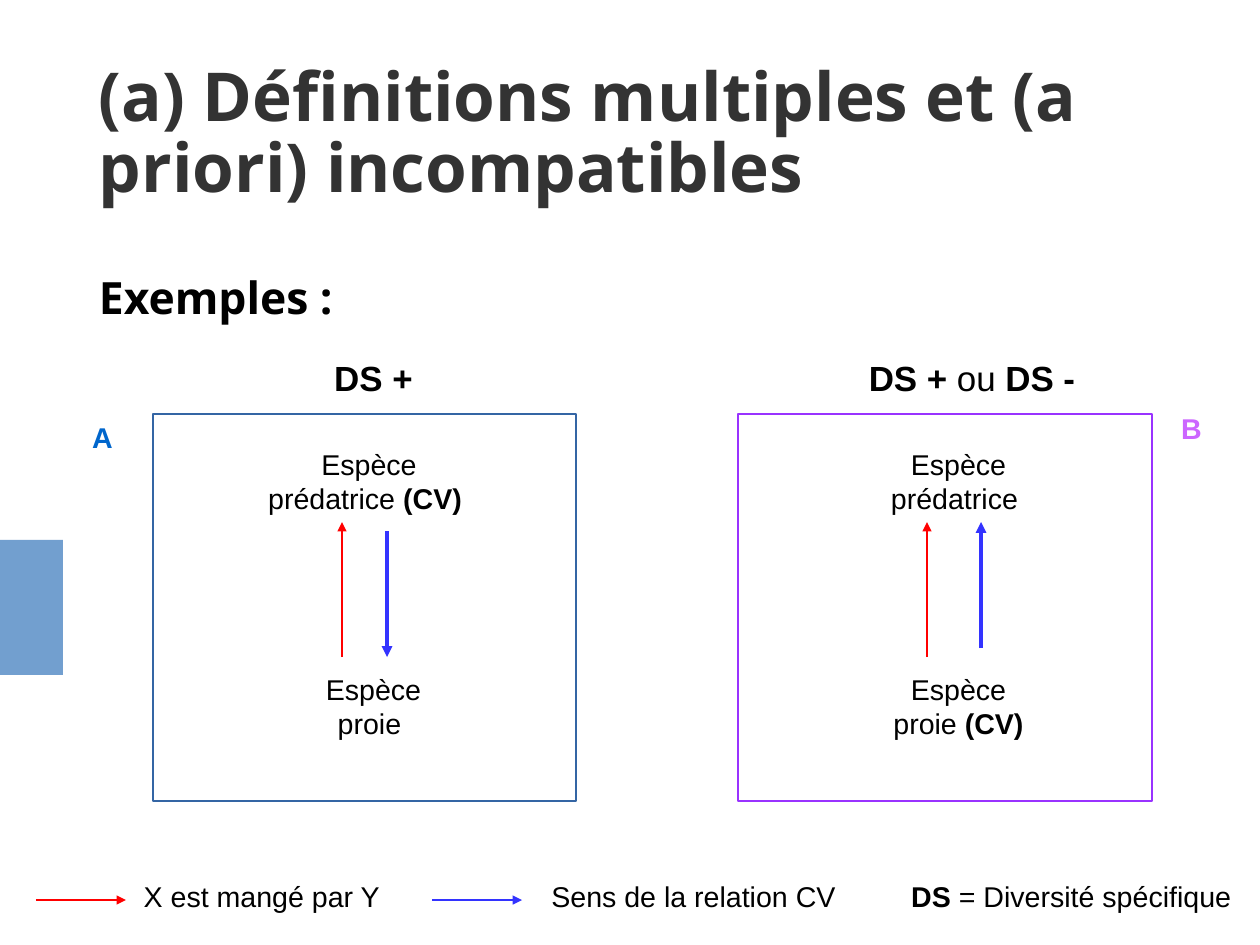
from lxml import etree
from pptx import Presentation
from pptx.dml.color import RGBColor
from pptx.enum.shapes import MSO_CONNECTOR, MSO_SHAPE
from pptx.enum.text import MSO_ANCHOR, MSO_AUTO_SIZE, PP_ALIGN
from pptx.oxml.ns import qn
from pptx.util import Cm, Pt

LEFT, CENTER = PP_ALIGN.LEFT, PP_ALIGN.CENTER
MIDDLE, NO_AUTOFIT = MSO_ANCHOR.MIDDLE, MSO_AUTO_SIZE.NONE
RECTANGLE, STRAIGHT = MSO_SHAPE.RECTANGLE, MSO_CONNECTOR.STRAIGHT

# The slide is a grid of 28 columns by 21 rows, one centimetre each
COLUMNS, ROWS = 28, 21
BODY, HEADING = "Arial", "Open Sans"
BLACK, RED, BLUE = "000000", "FF0000", "3333FF"
TITLE_AREA = (2.2, 0.97, 23.8, 4.09)
LEGEND_ROW, LEGEND_TEXT_ROW = 20, 19.4
PREDATOR_ROW, PREY_ROW = 9.8, 14.8


def grid(*cells):
    return [Cm(cell) for cell in cells]


def color(hex_code):
    return RGBColor.from_string(hex_code)


def style(paragraph, font_name, size, hex_code, bold=None):
    font = paragraph.font
    font.name, font.size, font.bold = font_name, Pt(size), bold
    font.color.rgb = color(hex_code)


def add_title(slide, words):
    title = slide.shapes.title
    title.left, title.top, title.width, title.height = grid(*TITLE_AREA)
    frame = title.text_frame
    frame.text = words
    frame.auto_size, frame.vertical_anchor = NO_AUTOFIT, MIDDLE
    frame.margin_left = frame.margin_right = 0
    frame.margin_top = frame.margin_bottom = 0
    heading = frame.paragraphs[0]
    heading.alignment, heading.line_spacing = LEFT, 0.88
    style(heading, HEADING, 42.5, "333333", True)


def add_label(slide, area, parts, size=18, hex_code=BLACK, align=CENTER,
              font_name=BODY, margins=(0.25, 0.13)):
    """Write (text, bold) parts as one paragraph."""
    frame = slide.shapes.add_textbox(*grid(*area)).text_frame
    frame.word_wrap = True
    frame.margin_left = frame.margin_right = Cm(margins[0])
    frame.margin_top = frame.margin_bottom = Cm(margins[1])
    line = frame.paragraphs[0]
    line.alignment = align
    style(line, font_name, size, hex_code)
    for words, bold in parts:
        run = line.add_run()
        run.text, run.font.bold = words, bold


def add_box(slide, area, fill=None, outline=None, width=1):
    box = slide.shapes.add_shape(RECTANGLE, *grid(*area))
    box.shadow.inherit = False
    if fill:
        box.fill.solid()
        box.fill.fore_color.rgb = color(fill)
    else:
        box.fill.background()
    if outline:
        box.line.color.rgb, box.line.width = color(outline), Pt(width)
    else:
        box.line.fill.background()


def add_arrow(slide, start, end, hex_code, width=1.5):
    arrow = slide.shapes.add_connector(STRAIGHT, *grid(*start, *end))
    arrow.line.color.rgb, arrow.line.width = color(hex_code), Pt(width)
    etree.SubElement(arrow.line._get_or_add_ln(), qn("a:tailEnd"), type="triangle")
    etree.SubElement(arrow._element.spPr, qn("a:effectLst"))


def add_panel(slide, frame, outline, heading, letter, predator, prey, red_column, blue):
    """Draw one case: frame, heading, letter, two species and their arrows."""
    add_box(slide, frame, outline=outline[0], width=outline[1])
    add_label(slide, heading[0], heading[1], size=22)
    add_label(slide, letter[0], [(letter[1], True)], hex_code=letter[2], align=LEFT)
    for row, (column, width, parts) in ((PREDATOR_ROW, predator), (PREY_ROW, prey)):
        add_label(slide, (column, row, width, 1.8), parts)
    add_arrow(slide, (red_column, 14.6), (red_column, 11.6), RED)
    blue_column, blue_start, blue_end = blue
    add_arrow(slide, (blue_column, blue_start), (blue_column, blue_end), BLUE, 2.3)


def main():
    deck = Presentation()
    deck.slide_width, deck.slide_height = grid(COLUMNS, ROWS)
    slide = deck.slides.add_slide(deck.slide_layouts[5])

    # Side bar and headings
    add_box(slide, (0, 12, 1.4, 3), fill="729FCF")
    add_title(slide, "(a) Définitions multiples et (a priori) incompatibles")
    add_label(slide, (2.2, 6, 23.8, 1.4), [("Exemples :", True)], size=28,
              align=LEFT, font_name=HEADING, margins=(0, 0))

    # Case A: the relation runs from predator to prey
    add_panel(slide, (3.4, 9.2, 9.4, 8.6), ("3465A4", 1),
              heading=((6.8, 7.8, 3, 1.4), [("DS +", True)]),
              letter=((1.8, 9.2, 1.2, 1), "A", "0066CC"),
              predator=(5.4, 5.6, [("Espèce prédatrice ", False), ("(CV) ", True)]),
              prey=(6.4, 3.8, [("Espèce proie ", False)]),
              red_column=7.6, blue=(8.6, 11.8, 14.6))

    # Case B: the relation runs from prey to predator
    add_panel(slide, (16.4, 9.2, 9.2, 8.6), ("9933FF", 1.5),
              heading=((18.4, 7.8, 6.4, 1.4),
                       [("DS + ", True), ("ou", False), (" DS -", True)]),
              letter=((26, 9, 1.2, 1), "B", "CC66FF"),
              predator=(19.4, 3.8, [("Espèce prédatrice ", False)]),
              prey=(19.4, 3.8, [("Espèce proie ", False), ("(CV)", True)]),
              red_column=20.6, blue=(21.8, 14.4, 11.6))

    # Legend
    for arrow_column, hex_code, text_column, meaning in (
            (0.8, RED, 2.2, "X est mangé par Y "),
            (9.6, BLUE, 11.8, "Sens de la relation CV ")):
        add_arrow(slide, (arrow_column, LEGEND_ROW), (arrow_column + 2, LEGEND_ROW), hex_code)
        add_label(slide, (text_column, LEGEND_TEXT_ROW, 7.4, 1.2), [(meaning, False)])
    add_label(slide, (20, LEGEND_TEXT_ROW, 8, 1.2),
              [("DS ", True), ("= Diversité spécifique", False)], align=LEFT)

    deck.save("out.pptx")


if __name__ == "__main__":
    main()
